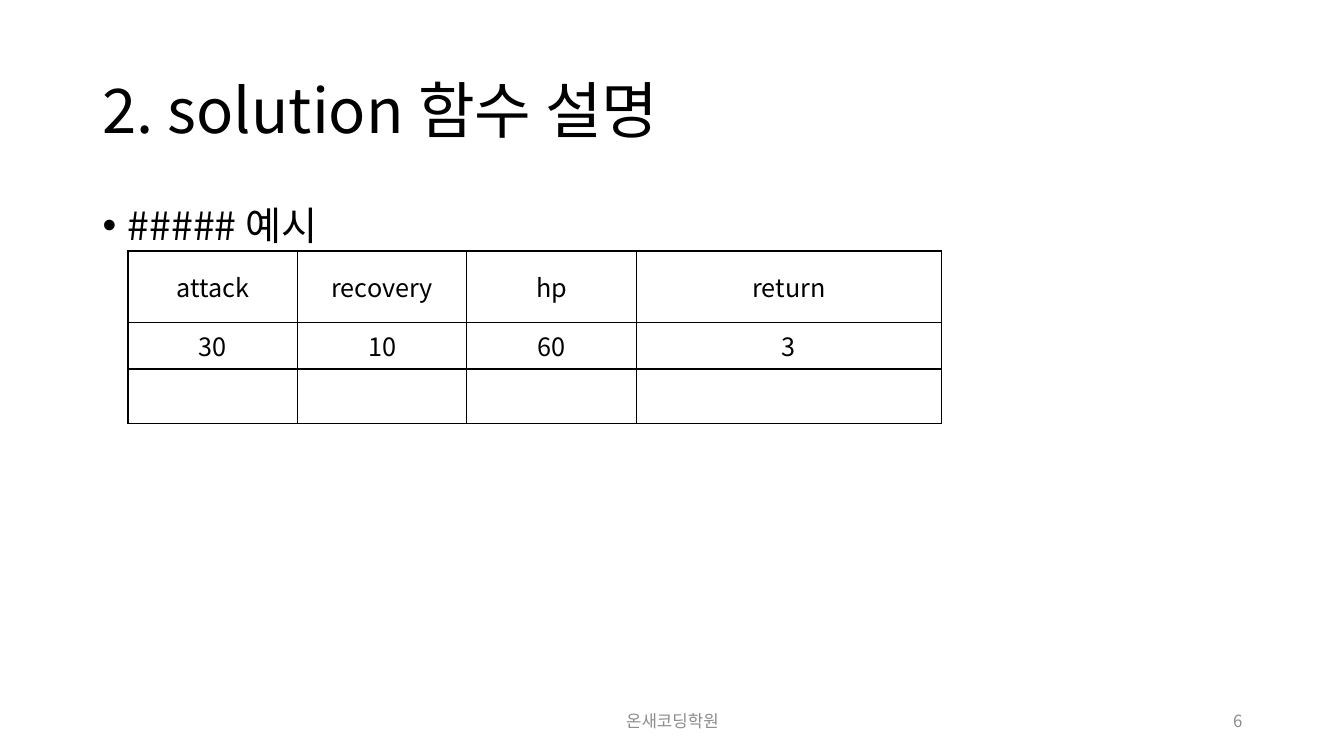
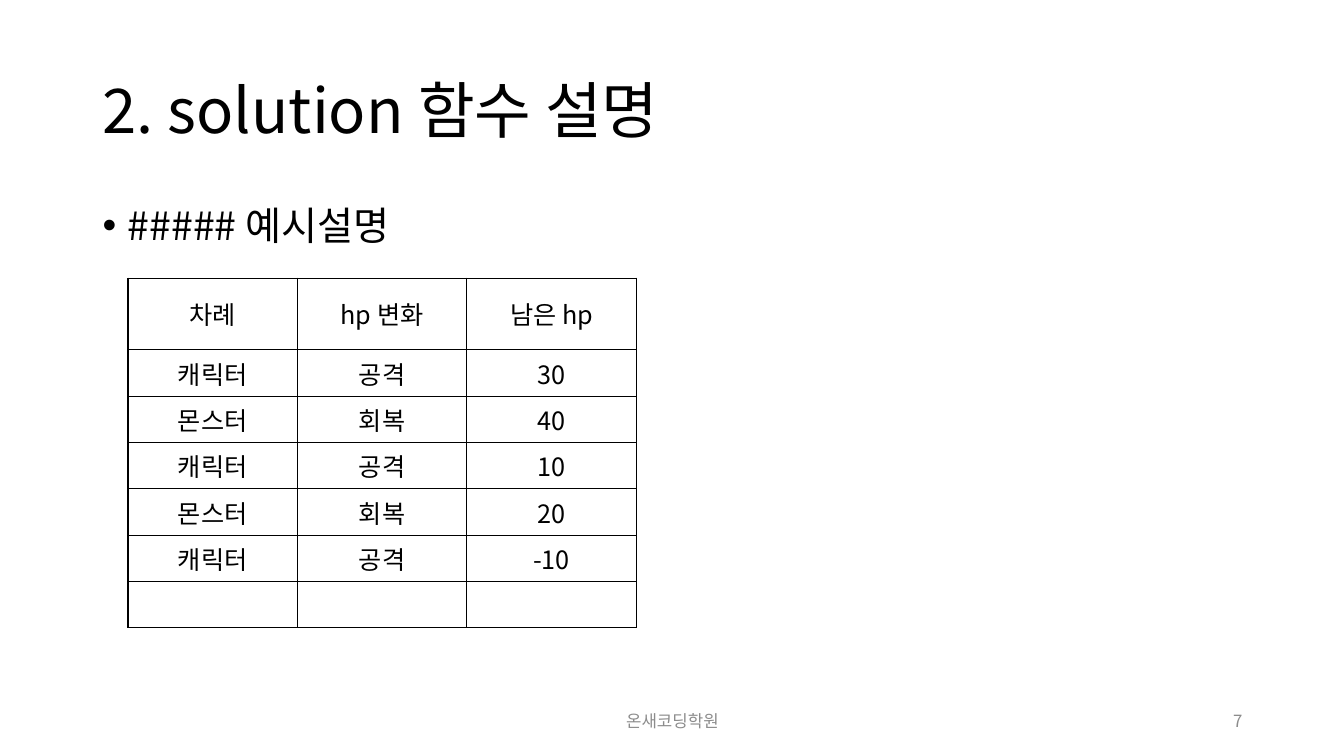
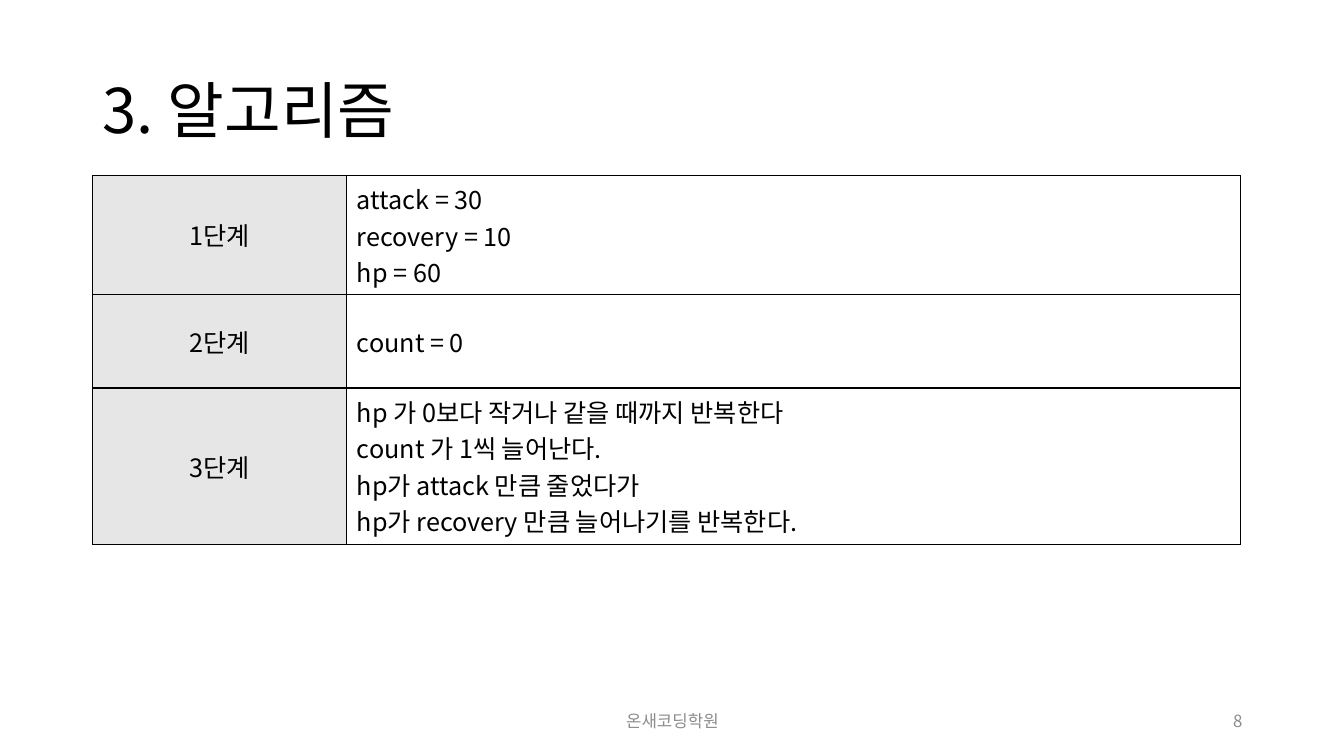
from dataclasses import dataclass

from lxml.etree import SubElement
from pptx import Presentation
from pptx.dml.color import RGBColor
from pptx.enum.text import MSO_ANCHOR as Anchor, PP_ALIGN as Align
from pptx.oxml.ns import qn
from pptx.util import Inches, Pt


@dataclass(frozen=True)
class Theme:
    font: str = "Noto Sans CJK KR"
    ink: str = "000000"
    muted: str = "8C8C8C"
    paper: str = "FFFFFF"
    label: str = "E7E6E6"
    title: int = 44
    body: int = 28
    cell: int = 18
    footer: int = 12
    border: int = 1


class Deck:
    def __init__(self, theme, footer, first_page):
        self.theme = theme
        self.footer = footer
        self.page = first_page
        self.prs = Presentation()
        self.prs.slide_width = Inches(13.33)
        self.prs.slide_height = Inches(7.5)
        self.s = None

    def slide(self, title):
        t = self.theme
        self.s = self.prs.slides.add_slide(self.prs.slide_layouts[6])
        fill = self.s.background.fill
        fill.solid()
        fill.fore_color.rgb = RGBColor.from_string(t.paper)
        p = self.text(title, (0.92, 0.4, 11.5, 1.45), t.title)
        p.line_spacing = 0.9
        self.text(self.footer, (4.42, 6.95, 4.5, 0.4), t.footer, t.muted, Align.CENTER)
        self.text(str(self.page), (9.42, 6.95, 3, 0.4), t.footer, t.muted, Align.RIGHT)
        self.page += 1

    def run(self, p, text, size, color):
        r = p.add_run()
        r.text = text
        r.font.size = Pt(size)
        r.font.name = self.theme.font
        r.font.color.rgb = RGBColor.from_string(color)
        SubElement(r.font._element, qn("a:ea"), typeface=self.theme.font)

    def text(self, text, box, size, color=None, align=Align.LEFT, anchor=Anchor.MIDDLE):
        tf = self.s.shapes.add_textbox(*map(Inches, box)).text_frame
        tf.word_wrap = True
        tf.vertical_anchor = anchor
        p = tf.paragraphs[0]
        p.alignment = align
        self.run(p, text, size, color or self.theme.ink)
        return p

    def bullet(self, text):
        p = self.text(text, (0.92, 2, 11.5, 4.76), self.theme.body, anchor=Anchor.TOP)
        p.line_spacing = 0.9
        p.space_before = Pt(10)
        pPr = p._p.get_or_add_pPr()
        pPr.set("marL", str(Inches(0.25)))
        pPr.set("indent", str(-Inches(0.25)))
        SubElement(pPr, qn("a:buFont"), typeface="Arial")
        SubElement(pPr, qn("a:buChar"), char="•")

    def table(self, left, top, widths, heights, rows, label_column=False):
        size = map(Inches, (left, top, sum(widths), sum(heights)))
        table = self.s.shapes.add_table(len(rows), len(widths), *size).table
        table.first_row = table.horz_banding = False
        for column, width in zip(table.columns, widths):
            column.width = Inches(width)
        for row, height in zip(table.rows, heights):
            row.height = Inches(height)
        for i, row in enumerate(rows):
            for j, text in enumerate(row):
                is_label = label_column and j == 0
                align = Align.LEFT if label_column and j else Align.CENTER
                fill = self.theme.label if is_label else self.theme.paper
                self.cell(table.cell(i, j), text, align, fill)

    def cell(self, cell, text, align, fill):
        t = self.theme
        cell.vertical_anchor = Anchor.MIDDLE
        tf = cell.text_frame
        for i, line in enumerate(text.splitlines()):
            p = tf.add_paragraph() if i else tf.paragraphs[0]
            p.alignment = align
            self.run(p, line, t.cell, t.ink)
        tcPr = cell._tc.get_or_add_tcPr()
        for side in ("lnL", "lnR", "lnT", "lnB"):
            ln = SubElement(tcPr, qn(f"a:{side}"), w=str(Pt(t.border)))
            SubElement(SubElement(ln, qn("a:solidFill")), qn("a:srgbClr"), val=t.ink)
        cell.fill.solid()
        cell.fill.fore_color.rgb = RGBColor.from_string(fill)


deck = Deck(Theme(), "온새코딩학원", 6)

deck.slide("2. solution 함수 설명")
deck.bullet("##### 예시")
deck.table(1.27, 2.49, [1.68] * 3 + [3.03], [0.71, 0.46, 0.54], [
    ("attack", "recovery", "hp", "return"),
    ("30", "10", "60", "3"),
    ("",) * 4,
])

deck.slide("2. solution 함수 설명")
deck.bullet("##### 예시설명")
attack, recover = ("캐릭터", "공격"), ("몬스터", "회복")
deck.table(1.27, 2.76, [1.68] * 3, [0.71] + [0.46] * 6, [
    ("차례", "hp 변화", "남은 hp"),
    (*attack, "30"),
    (*recover, "40"),
    (*attack, "10"),
    (*recover, "20"),
    (*attack, "-10"),
    ("",) * 3,
])

deck.slide("3. 알고리즘")
deck.table(0.92, 1.74, [2.52, 8.86], [1.18, 0.93, 1.55], [
    ("1단계", "attack = 30\nrecovery = 10\nhp = 60"),
    ("2단계", "count = 0"),
    ("3단계", "hp 가 0보다 작거나 같을 때까지 반복한다\n"
             "count 가 1씩 늘어난다.\n"
             "hp가 attack 만큼 줄었다가\n"
             "hp가 recovery 만큼 늘어나기를 반복한다."),
], label_column=True)

deck.prs.save("out.pptx")
